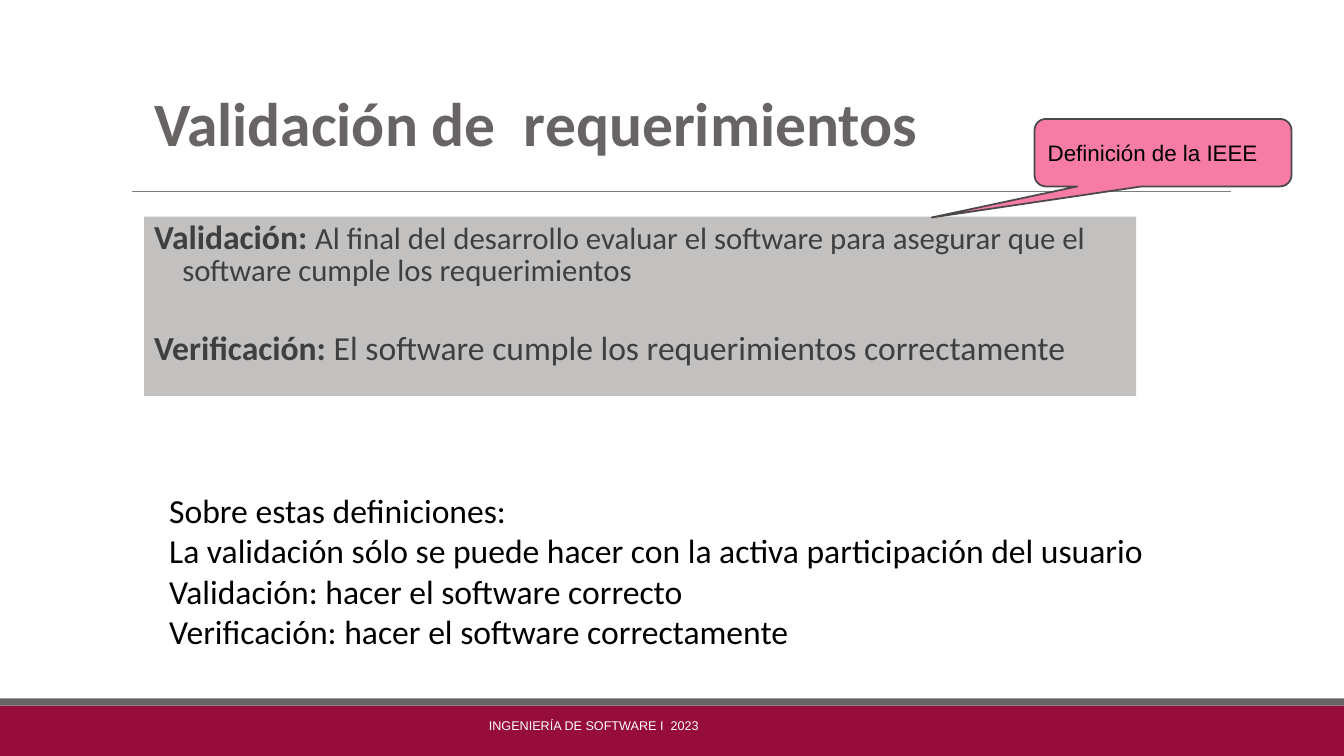
"""Build the slide on validating requirements."""
from dataclasses import dataclass

from lxml import etree
from pptx import Presentation
from pptx.dml.color import RGBColor
from pptx.enum.shapes import MSO_CONNECTOR, MSO_SHAPE
from pptx.enum.text import MSO_ANCHOR, PP_ALIGN
from pptx.oxml.ns import qn
from pptx.util import Pt

PX = 9144
RECT = MSO_SHAPE.RECTANGLE
CALLOUT = MSO_SHAPE.ROUNDED_RECTANGULAR_CALLOUT
STRAIGHT = MSO_CONNECTOR.STRAIGHT
LEFT = PP_ALIGN.LEFT
TOP, MIDDLE = MSO_ANCHOR.TOP, MSO_ANCHOR.MIDDLE


@dataclass(frozen=True)
class Theme:
    wine: str = "960C3A"
    gray: str = "696464"
    rule: str = "7F7F7F"
    panel: str = "C3C0C0"
    ink: str = "3F3F3F"
    black: str = "000000"
    white: str = "FFFFFF"
    pink: str = "F67BA5"
    edge: str = "4C4848"
    head: str = "Calibri"
    plain: str = "Arial"
    title: int = 44
    body: int = 24
    small: int = 22
    note: int = 16
    foot: int = 9


THEME = Theme()


def color(code):
    return RGBColor.from_string(code)


def add_box(slide, kind, area, fill, edge=None):
    box = slide.shapes.add_shape(kind, *(n * PX for n in area))
    box.shadow.inherit = False
    box.fill.solid()
    box.fill.fore_color.rgb = color(fill)
    if edge:
        box.line.color.rgb = color(edge)
        box.line.width = Pt(1.25)
    else:
        box.line.fill.background()
    return box


def add_rule(slide, x, y, end):
    rule = slide.shapes.add_connector(STRAIGHT, x * PX, y * PX, end * PX, y * PX)
    rule.line.color.rgb = color(THEME.rule)
    rule.line.width = Pt(0.75)
    etree.SubElement(rule._element.spPr, qn("a:effectLst"))


def add_text(slide, area):
    return slide.shapes.add_textbox(*(n * PX for n in area))


def set_frame(shape, anchor=TOP):
    frame = shape.text_frame
    frame.word_wrap = True
    frame.vertical_anchor = anchor
    frame.margin_left = frame.margin_right = 10 * PX
    frame.margin_top = frame.margin_bottom = 5 * PX
    return frame


def style(run, size, ink, font, bold=False):
    run.font.size = Pt(size)
    run.font.color.rgb = color(ink)
    run.font.name = font
    run.font.bold = bold


def hang(para, depth):
    props = para._p.get_or_add_pPr()
    props.set("marL", str(depth * PX))
    props.set("indent", str(-depth * PX))


def put_line(shape, text, size, ink, font, bold=False, anchor=TOP):
    para = set_frame(shape, anchor).paragraphs[0]
    para.text = text
    para.alignment = LEFT
    style(para.runs[0], size, ink, font, bold)
    return para


def put_terms(shape, terms):
    frame = set_frame(shape)
    for i, (term, text, size, gap) in enumerate(terms):
        para = frame.add_paragraph() if i else frame.paragraphs[0]
        para.alignment = LEFT
        para.line_spacing = 0.85
        para.space_before = Pt(gap)
        hang(para, 28)
        for words, points, bold in ((term, THEME.body, True), (text, size, False)):
            run = para.add_run()
            run.text = words
            style(run, points, THEME.ink, THEME.head, bold)


def put_list(shape, lines):
    frame = set_frame(shape)
    frame.text = "\n".join(lines)
    for i, para in enumerate(frame.paragraphs):
        hang(para, 28 if i else 7)
        style(para.runs[0], THEME.body, THEME.black, THEME.head)


def main():
    deck = Presentation()
    deck.slide_width, deck.slide_height = 1333 * PX, 750 * PX
    slide = deck.slides.add_slide(deck.slide_layouts[6])
    slide.background.fill.solid()
    slide.background.fill.fore_color.rgb = color(THEME.white)

    add_box(slide, RECT, (0, 700, 1333, 50), THEME.wine)
    add_box(slide, RECT, (0, 693, 1333, 7), THEME.gray)
    add_rule(slide, 131, 190, 1221)

    panel = add_box(slide, RECT, (143, 215, 984, 178), THEME.panel)
    put_terms(panel, (
        ("Validación: ", "Al final del desarrollo evaluar el software para "
         "asegurar que el software cumple los requerimientos", THEME.small, 0),
        ("Verificación:", " El software cumple los requerimientos correctamente",
         THEME.body, 33),
    ))

    foot = add_text(slide, (475, 707, 515, 40))
    put_line(foot, "INGENIERÍA DE SOFTWARE I  2023", THEME.foot, THEME.white,
             THEME.plain)
    title = add_text(slide, (143, 57, 835, 139))
    para = put_line(title, "Validación de  requerimientos", THEME.title,
                    THEME.gray, THEME.head, True, MIDDLE)
    para.line_spacing = 0.85

    put_list(add_text(slide, (158, 481, 1114, 172)), (
        "Sobre estas definiciones:",
        "La validación sólo se puede hacer con la activa participación del usuario",
        "Validación: hacer el software correcto",
        "Verificación: hacer el software correctamente",
    ))

    note = add_box(slide, CALLOUT, (1026, 118, 255, 67), THEME.pink, THEME.edge)
    for i, value in enumerate((-0.9, 0.96, 0.17)):
        note.adjustments[i] = value
    put_line(note, "Definición de la IEEE", THEME.note, THEME.black,
             THEME.plain, anchor=MIDDLE)
    deck.save("out.pptx")


if __name__ == "__main__":
    main()
